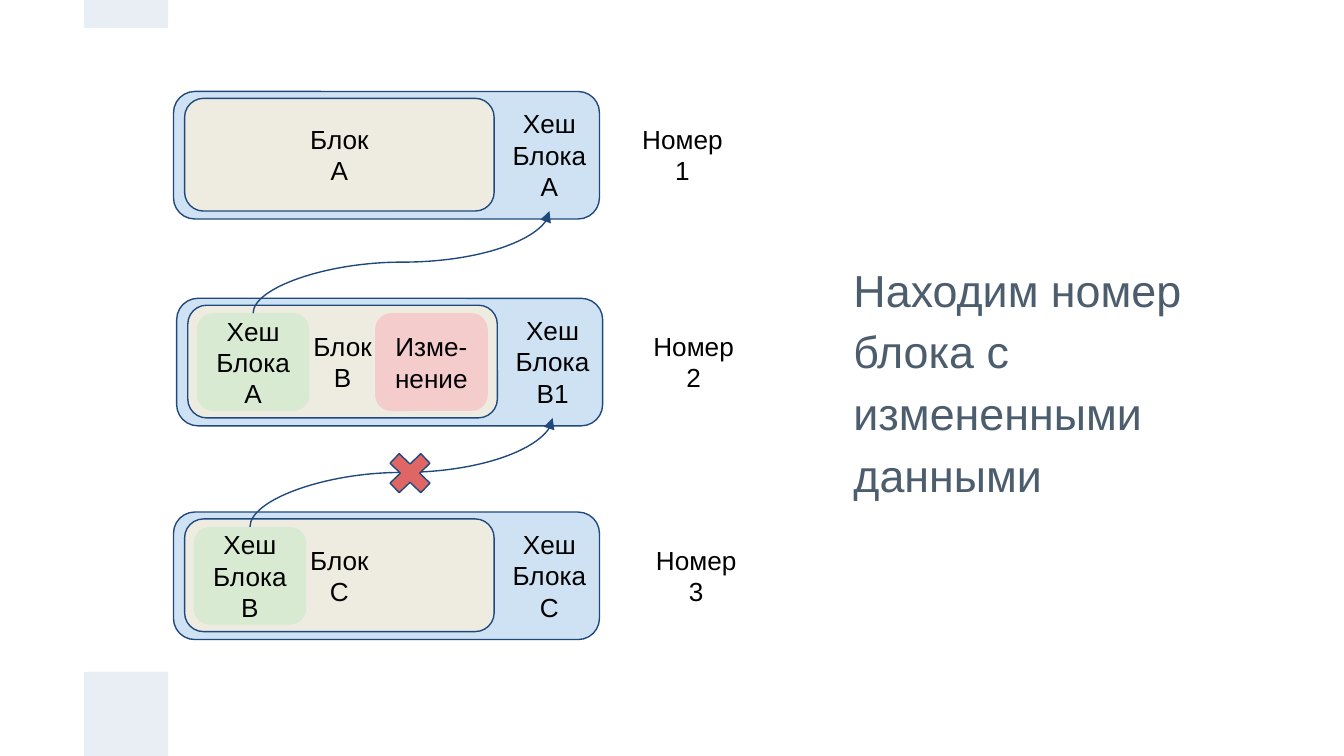
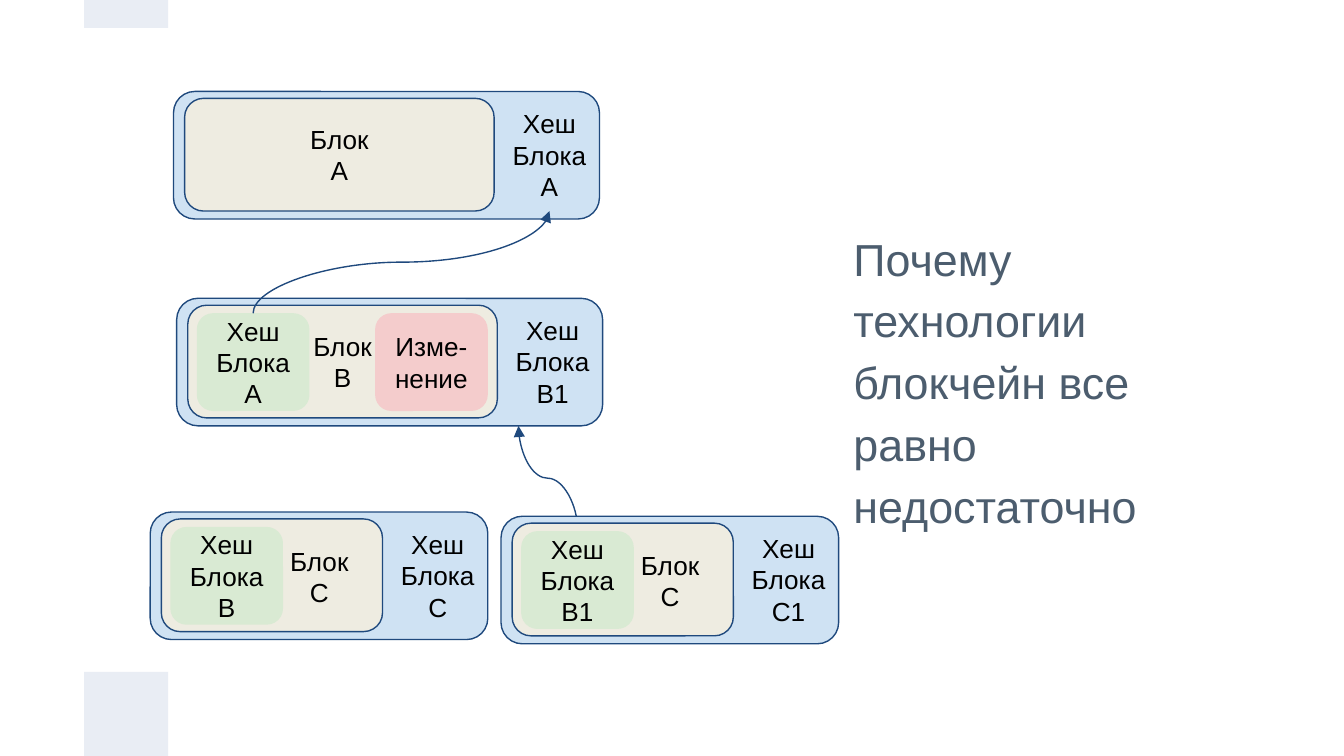
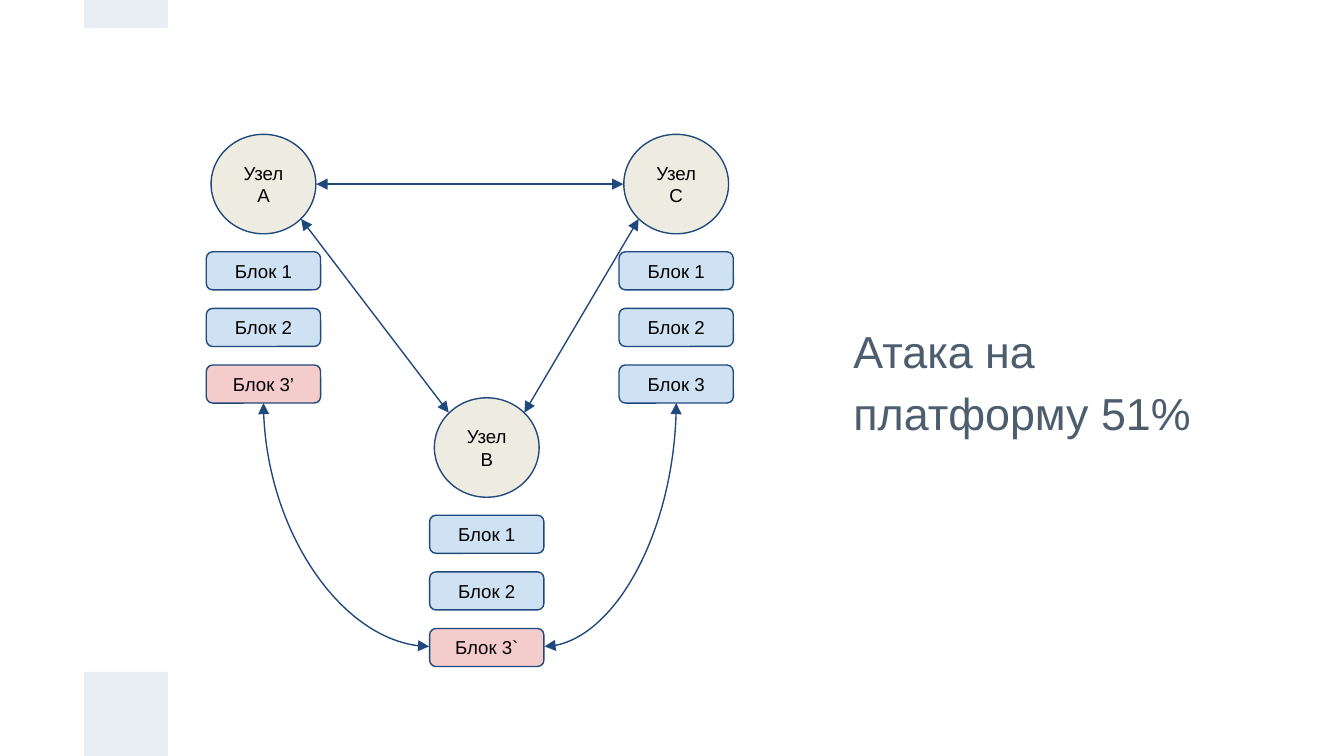
import pptx
import pptx.util
import pptx.dml.color
import pptx.enum.shapes
import pptx.enum.text
import pptx.oxml.ns
import lxml.etree

Cm, Pt = pptx.util.Cm, pptx.util.Pt
RGBColor = pptx.dml.color.RGBColor
SHAPE = pptx.enum.shapes.MSO_SHAPE
CONNECTOR = pptx.enum.shapes.MSO_CONNECTOR
ALIGN = pptx.enum.text.PP_ALIGN
qn = pptx.oxml.ns.qn

# Colours
NAVY = RGBColor(0x1F, 0x49, 0x7D)
SLATE = RGBColor(0x4C, 0x5D, 0x6E)
BLACK = RGBColor(0, 0, 0)
BAND = RGBColor(0xE9, 0xED, 0xF4)
BLUE = RGBColor(0xCF, 0xE2, 0xF3)
BEIGE = RGBColor(0xEE, 0xEC, 0xE1)
GREEN = RGBColor(0xD9, 0xEA, 0xD3)
PINK = RGBColor(0xF4, 0xCC, 0xCC)
RED = RGBColor(0xE0, 0x66, 0x66)

# Shared text formats
INSET = Cm(0.25)
FRAME = {
    "word_wrap": True,
    "auto_size": pptx.enum.text.MSO_AUTO_SIZE.NONE,
    "vertical_anchor": pptx.enum.text.MSO_ANCHOR.MIDDLE,
    "margin_left": INSET, "margin_right": INSET,
    "margin_top": INSET, "margin_bottom": INSET,
}
TITLE_PARAGRAPH = {"alignment": ALIGN.LEFT, "line_spacing": 1.15}
TITLE_FONT = {"name": "Arial", "size": Pt(24)}
LABEL_FONT = {"name": "Arial"}


def box(slide, left, top, width, height, fill=None, text="", outlined=False,
        kind=SHAPE.ROUNDED_RECTANGLE, size=14):
    """Add a shape with lengths in centimetres and centred text."""
    shape = slide.shapes.add_shape(kind, Cm(left), Cm(top), Cm(width), Cm(height))
    shape.shadow.inherit = False
    if fill is None:
        shape.fill.background()
    else:
        shape.fill.solid()
        shape.fill.fore_color.rgb = fill
    if outlined:
        shape.line.color.rgb = NAVY
        shape.line.width = Pt(0.75)
    else:
        shape.line.fill.background()
    if text:
        for key, value in FRAME.items():
            setattr(shape.text_frame, key, value)
        shape.text_frame.text = text
        for paragraph in shape.text_frame.paragraphs:
            paragraph.alignment = ALIGN.CENTER
            for key, value in LABEL_FONT.items():
                setattr(paragraph.font, key, value)
            paragraph.font.size = Pt(size)
            paragraph.font.color.rgb = BLACK
    return shape


def link(slide, start, end, curve=None, ends=("tailEnd",)):
    """Join two points; a curve leaves its start vertically."""
    (x1, y1), (x2, y2) = start, end
    if curve:
        # A quarter turn swaps the sides of the frame around its centre
        mid_x, mid_y = (x1 + x2) / 2, (y1 + y2) / 2
        half_w, half_h = abs(y2 - y1) / 2, abs(x2 - x1) / 2
        line = slide.shapes.add_connector(
            CONNECTOR.CURVE, Cm(mid_x - half_w), Cm(mid_y - half_h),
            Cm(mid_x + half_w), Cm(mid_y + half_h))
        frame = line.element.spPr.find(qn("a:xfrm"))
        frame.set("rot", str((270 if x2 > x1 else 90) * 60000))
        if (x2 > x1) == (y2 > y1):
            frame.set("flipH", "1")
        line.element.spPr.find(qn("a:prstGeom")).set("prst", curve)
    else:
        line = slide.shapes.add_connector(
            CONNECTOR.STRAIGHT, Cm(x1), Cm(y1), Cm(x2), Cm(y2))
    line.line.color.rgb = NAVY
    line.line.width = Pt(0.75)
    outline = line.element.spPr.find(qn("a:ln"))
    for tip in ends:
        lxml.etree.SubElement(outline, qn("a:" + tip)).set("type", "triangle")
    lxml.etree.SubElement(line.element.spPr, qn("a:effectLst"))


presentation = pptx.Presentation()
presentation.slide_width, presentation.slide_height = Cm(25.4), Cm(14.29)

# Titles and bands of every slide
slides = []
for heading in ("Находим номер блока с измененными данными",
                "Почему технологии блокчейн все равно недостаточно",
                "Атака на платформу 51%"):
    slide = presentation.slides.add_slide(presentation.slide_layouts[5])
    title = slide.shapes.title
    title.left, title.top, title.width, title.height = Cm(15.88), Cm(1.59), Cm(7.92), Cm(11.1)
    for key, value in FRAME.items():
        setattr(title.text_frame, key, value)
    title.text_frame.text = heading
    paragraph = title.text_frame.paragraphs[0]
    for key, value in TITLE_PARAGRAPH.items():
        setattr(paragraph, key, value)
    for key, value in TITLE_FONT.items():
        setattr(paragraph.runs[0].font, key, value)
    paragraph.runs[0].font.color.rgb = SLATE
    for band_top, band_height in ((12.7, 1.59), (0, 0.53)):
        box(slide, 1.59, band_top, 1.59, band_height, BAND, kind=SHAPE.RECTANGLE)
    slides.append(slide)
search_slide, weakness_slide, attack_slide = slides

# Block chains: left, top, width, block, own hash, previous hash
WIDE, NARROW = 8.05, 6.38
CELL = 2.13
intact_start = [(3.28, 1.73, WIDE, "A", "A", None),
                (3.34, 5.64, WIDE, "B", "B1", "A")]
chains = (
    (search_slide, intact_start + [(3.28, 9.68, WIDE, "C", "C", "B")]),
    (weakness_slide, intact_start + [(2.84, 9.68, NARROW, "C", "C", "B"),
                                     (9.47, 9.76, NARROW, "C", "C1", "B1")]),
)
for slide, blocks in chains:
    for left, top, width, block, own_hash, previous_hash in blocks:
        hash_left = left + width - 2.01
        inner_top = top + 0.13
        block_label = f"Блок\n{block}"
        is_wide = width == WIDE
        if own_hash == "C1":
            link(slide, (10.92, 10.03), (9.8, 8.05), "curvedConnector3")
        box(slide, left, top, width, 2.41, BLUE, outlined=True)
        box(slide, left + 0.21, inner_top, width - 2.2, CELL, BEIGE,
            block_label if is_wide else "", outlined=True)
        box(slide, hash_left, inner_top, CELL, CELL, text=f"Хеш\nБлока\n{own_hash}")
        if previous_hash:
            box(slide, left + 0.38, top + 0.28, CELL, 1.85, GREEN,
                f"Хеш\nБлока\n{previous_hash}")
        if not is_wide:
            box(slide, left + 2.13, top + 0.15, CELL, CELL, text=block_label)
        elif previous_hash:
            link(slide, (left + 0.38 + CELL / 2, top + 0.28), hash_foot, "curvedConnector3")
        hash_foot = (hash_left + CELL / 2, inner_top + CELL)
    box(slide, 7.09, 5.92, CELL, 1.85, PINK, "Изме-нение")

# Broken link and block numbers
cross = box(search_slide, 7.19, 8.41, 1.12, 1.07, RED, outlined=True, kind=SHAPE.MATH_MULTIPLY)
cross.adjustments[0] = 0.235
for number, (left, top) in enumerate(((11.73, 1.86), (11.94, 5.77), (11.99, 9.81)), 1):
    box(search_slide, left, top, 2.34, CELL, text=f"Номер {number}")

# Network nodes with their copies of the chain
nodes = (("A", 4.98, 2.54, "3’", PINK),
         ("B", 9.2, 7.52, "3`", PINK),
         ("C", 12.78, 2.54, "3", BLUE))
for node, centre, top, last_block, last_fill in nodes:
    box(attack_slide, centre - 0.99, top, 1.98, 1.88, BEIGE, f"Узел {node}",
        outlined=True, kind=SHAPE.OVAL, size=10)
    for row, (block, fill) in enumerate((("1", BLUE), ("2", BLUE), (last_block, last_fill))):
        box(attack_slide, centre - 1.08, top + 2.22 + row * 1.07, 2.16, 0.72, fill,
            f"Блок {block}", outlined=True, size=10)

# Exchange between nodes and between last blocks
for start, end, curve in (
        ((5.98, 3.48), (11.78, 3.48), None),
        ((5.69, 4.14), (8.48, 7.8), None),
        ((12.07, 4.14), (9.91, 7.8), None),
        ((4.98, 7.62), (8.11, 12.22), "curvedConnector2"),
        ((12.78, 7.62), (10.29, 12.22), "curvedConnector2")):
    link(attack_slide, start, end, curve, ("headEnd", "tailEnd"))

presentation.save("out.pptx")
